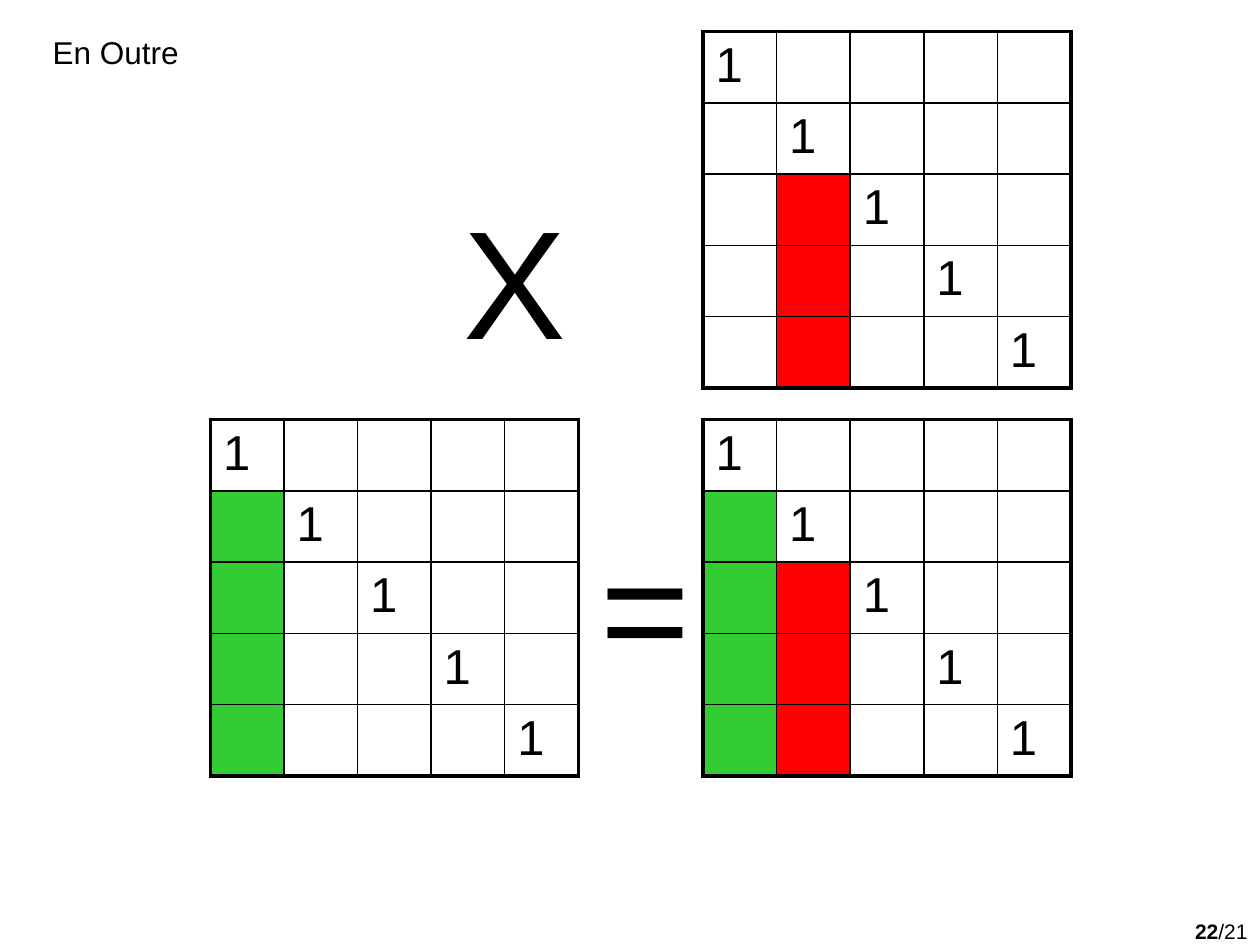
from lxml import etree
from pptx import Presentation
from pptx.dml.color import RGBColor
from pptx.enum.text import MSO_AUTO_SIZE, PP_ALIGN
from pptx.oxml.ns import qn
from pptx.util import Inches, Pt

LEFT, RIGHT = PP_ALIGN.LEFT, PP_ALIGN.RIGHT
FIT_SHAPE = MSO_AUTO_SIZE.SHAPE_TO_FIT_TEXT
COLORS = {"black": "000000", "white": "FFFFFF", "green": "33CC33", "red": "FF0000"}
SIZE = 5
MATRIX_WIDTH, MATRIX_HEIGHT = 2.92, 2.83
THIN, THICK = 1, 2.25
GREEN_COLUMN = {(row, 0): "green" for row in range(1, SIZE)}
RED_COLUMN = {(row, 1): "red" for row in range(2, SIZE)}


def rgb(name):
    return RGBColor.from_string(COLORS[name])


def add_run(p, text, **formats):
    r = p.add_run()
    r.text = text
    r.font.color.rgb = rgb("black")
    for name, value in {"name": "Arial", **formats}.items():
        setattr(r.font, name, value)


def add_text(s, box, runs, size, wrap=True, align=LEFT, fit=FIT_SHAPE):
    tf = s.shapes.add_textbox(*map(Inches, box)).text_frame
    tf.word_wrap = wrap
    tf.auto_size = fit
    p = tf.paragraphs[0]
    p.alignment = align
    for text, bold in runs:
        add_run(p, text, size=Pt(size), bold=bold)


def set_borders(cell, row, col):
    outer = {"lnL": col == 0, "lnR": col == SIZE - 1,
             "lnT": row == 0, "lnB": row == SIZE - 1}
    tc_pr = cell._tc.get_or_add_tcPr()
    for tag, is_outer in outer.items():
        ln = etree.SubElement(tc_pr, qn(f"a:{tag}"),
                              w=str(Pt(THICK if is_outer else THIN)))
        fill = etree.SubElement(ln, qn("a:solidFill"))
        etree.SubElement(fill, qn("a:srgbClr"), val=COLORS["black"])


def add_matrix(s, left, top, filled):
    box = map(Inches, (left, top, MATRIX_WIDTH, MATRIX_HEIGHT))
    table = s.shapes.add_table(SIZE, SIZE, *box).table
    table.first_row = False
    table.horz_banding = False
    for row in range(SIZE):
        for col in range(SIZE):
            cell = table.cell(row, col)
            set_borders(cell, row, col)
            cell.fill.solid()
            cell.fill.fore_color.rgb = rgb(filled.get((row, col), "white"))
            if row == col:
                add_run(cell.text_frame.paragraphs[0], "1", size=Pt(28))


def main():
    prs = Presentation()
    prs.slide_width, prs.slide_height = Inches(10), Inches(7.5)
    s = prs.slides.add_slide(prs.slide_layouts[6])

    add_text(s, (7.67, 7.24, 2.33, 0.52), [("22", True), ("/21", False)], 12,
             align=RIGHT, fit=MSO_AUTO_SIZE.NONE)
    add_matrix(s, 1.67, 3.33, GREEN_COLUMN)
    add_matrix(s, 5.58, 0.25, RED_COLUMN)
    add_matrix(s, 5.58, 3.33, {**GREEN_COLUMN, **RED_COLUMN})
    add_text(s, (3.58, 1.42, 1.02, 1.57), [("X", False)], 88, wrap=False)
    add_text(s, (4.67, 4, 0.91, 1.57), [("=", False)], 88, wrap=False)
    add_text(s, (0.32, 0.21, 1.77, 0.4), [("En Outre", False)], 18)

    prs.save("out.pptx")


if __name__ == "__main__":
    main()
